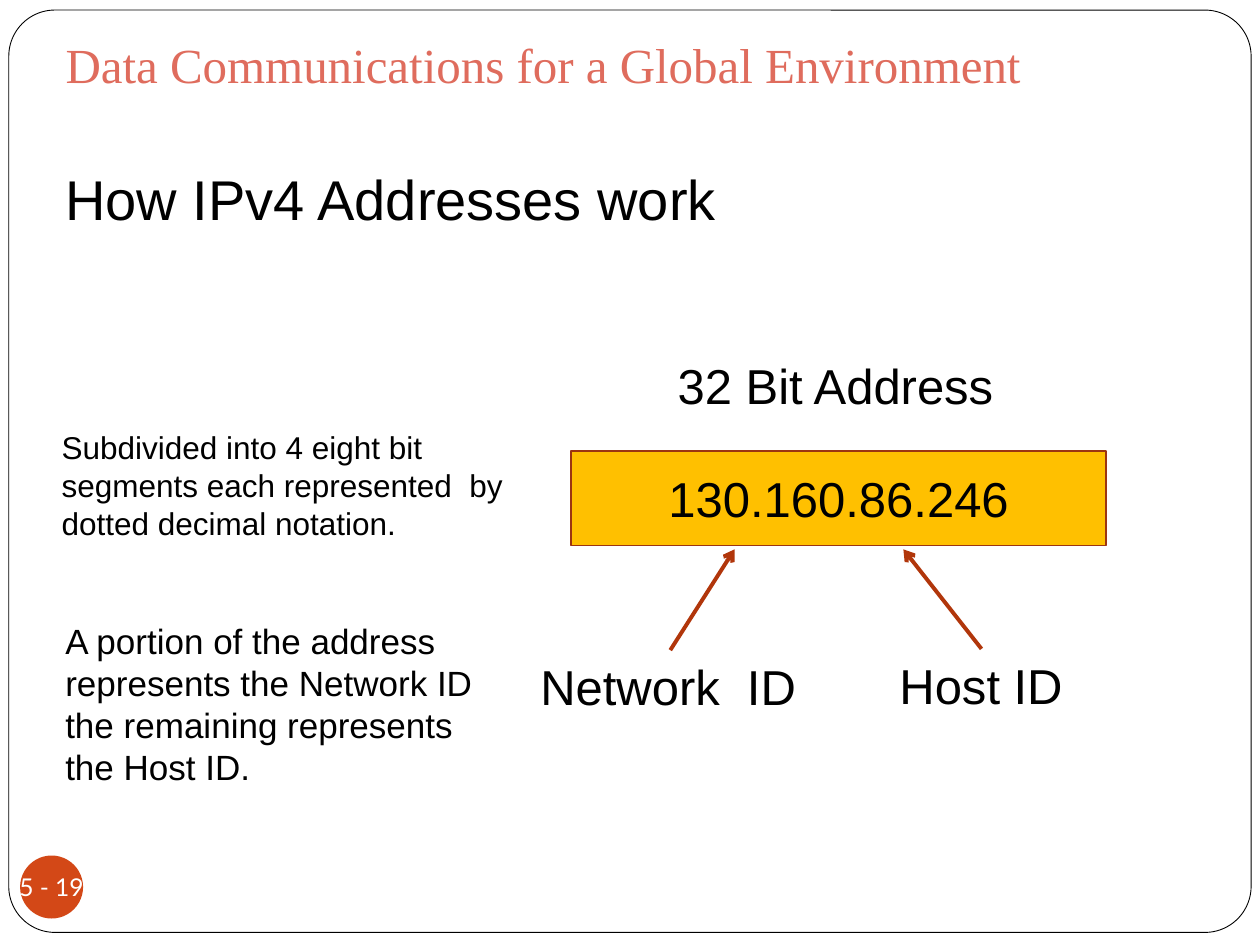
from lxml.etree import SubElement
from pptx import Presentation
from pptx.dml.color import RGBColor
from pptx.enum.shapes import MSO_CONNECTOR, MSO_SHAPE
from pptx.enum.text import MSO_ANCHOR, MSO_AUTO_SIZE, PP_ALIGN
from pptx.oxml.ns import qn
from pptx.util import Emu, Pt

EMU_PER_PX = 9144  # 100 px to the inch

WHITE = RGBColor(0xFF, 0xFF, 0xFF)
BLACK = RGBColor(0x00, 0x00, 0x00)
ORANGE = RGBColor(0xD3, 0x48, 0x17)
SALMON = RGBColor(0xDF, 0x6C, 0x5D)
AMBER = RGBColor(0xFF, 0xC0, 0x00)
RUST = RGBColor(0x9C, 0x35, 0x11)
ARROW_RED = RGBColor(0xB1, 0x36, 0x0B)


def px(*lengths):
    return [Emu(length * EMU_PER_PX) for length in lengths]


def write(frame, text, size=28, font="Arial", color=BLACK, align=PP_ALIGN.LEFT,
          anchor=MSO_ANCHOR.TOP, margins=(10, 5, 10, 5), wrap=True,
          auto_size=MSO_AUTO_SIZE.NONE):
    """Fill a text frame, one paragraph for each line of text."""
    frame.text = text
    frame.auto_size = auto_size
    frame.word_wrap = wrap
    frame.vertical_anchor = anchor
    (frame.margin_left, frame.margin_top,
     frame.margin_right, frame.margin_bottom) = px(*margins)
    for para in frame.paragraphs:
        para.alignment = align
        for span in para.runs:
            span.font.size = Pt(size)
            span.font.name = font
            span.font.color.rgb = color


def add_label(page, box, text, size=28, wrap=False):
    label = page.shapes.add_textbox(*px(*box))
    write(label.text_frame, text, size=size, wrap=wrap,
          auto_size=MSO_AUTO_SIZE.SHAPE_TO_FIT_TEXT)


def add_panel(page, kind, box, fill, line=None, width=1):
    panel = page.shapes.add_shape(kind, *px(*box))
    panel.shadow.inherit = False
    panel.fill.solid()
    panel.fill.fore_color.rgb = fill
    if line is None:
        panel.line.fill.background()
    else:
        panel.line.color.rgb = line
        panel.line.width = Pt(width)
    return panel


def add_arrow(page, start, end):
    arrow = page.shapes.add_connector(MSO_CONNECTOR.STRAIGHT, *px(*start, *end))
    arrow.line.color.rgb = ARROW_RED
    arrow.line.width = Pt(2.25)
    SubElement(arrow.line._get_or_add_ln(), qn("a:tailEnd"), type="arrow")
    SubElement(arrow._element.spPr, qn("a:effectLst"))


def add_border(page, box):
    left, top, width, height = box
    border = add_panel(page, MSO_SHAPE.ROUNDED_RECTANGLE, box, WHITE, BLACK, 0.5)
    border.adjustments[0] = 0.05
    badge = add_panel(page, MSO_SHAPE.OVAL,
                      (left + 9, top + height - 61, 50, 50), ORANGE)
    write(badge.text_frame, "5 - 19", size=14, font="Lato", color=WHITE,
          align=PP_ALIGN.CENTER, anchor=MSO_ANCHOR.MIDDLE,
          margins=(0, 0, 0, 0), wrap=False)


def add_heading(page, box):
    left, top, width, height = box
    title = page.shapes.title
    title.left, title.top, title.width, title.height = px(left, top, width, 67)
    write(title.text_frame, "Data Communications for a Global Environment",
          font="Times New Roman", color=SALMON, anchor=MSO_ANCHOR.BOTTOM,
          margins=(10, 5, 10, 10))
    page.shapes._spTree.append(title._element)  # in front of the border
    add_label(page, (left, top + 109, 541, 64), "How IPv4 Addresses work", size=32)


def add_explanation(page, box):
    left, top, width, height = box
    add_label(page, (left, top, width, 101),
              "Subdivided into 4 eight bit segments each represented  by\n"
              "dotted decimal notation.", size=18, wrap=True)
    add_label(page, (left + 3, top + 152, 346, 145),
              "A portion of the address\nrepresents the Network ID\n"
              "the remaining represents\nthe Host ID.", size=20)


def add_address_diagram(page, box):
    left, top, width, height = box
    address = add_panel(page, MSO_SHAPE.RECTANGLE,
                        (left + 34, top + 81, 425, 75), AMBER, RUST)
    write(address.text_frame, "130.160.86.246", align=PP_ALIGN.CENTER,
          anchor=MSO_ANCHOR.MIDDLE)
    add_label(page, (left + 109, top, 274, 57), "32 Bit Address")

    parts = [("Network  ID", 0, 239, 225, 113, 164),
             ("Host ID", 285, 238, 151, 360, 298)]
    for text, x, y, label_width, arrow_start, arrow_end in parts:
        add_label(page, (left + x, top + y, label_width, 57), text)
        add_arrow(page, (left + arrow_start, top + y),
                  (left + arrow_end, top + 159))


def main():
    deck = Presentation()
    deck.slide_width, deck.slide_height = px(1000, 750)
    page = deck.slides.add_slide(deck.slide_layouts.get_by_name("Title Only"))
    add_border(page, (7, 8, 986, 732))
    add_heading(page, (42, 17, 900, 173))
    add_explanation(page, (39, 335, 378, 297))
    add_address_diagram(page, (419, 277, 459, 296))
    deck.save("out.pptx")


if __name__ == "__main__":
    main()
